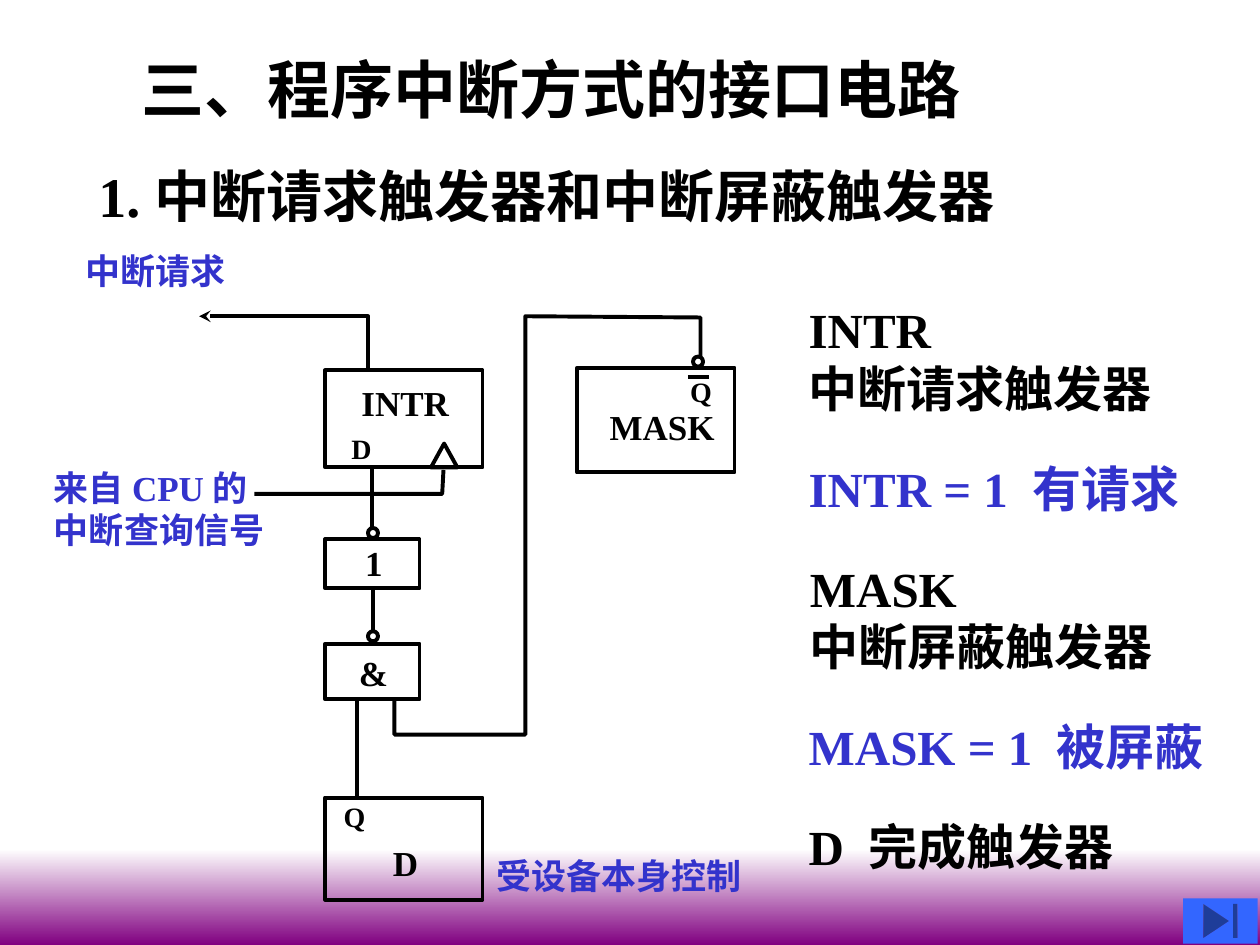
from lxml.etree import SubElement
from pptx import Presentation
from pptx.dml.color import RGBColor
from pptx.enum.shapes import MSO_CONNECTOR as Connector, MSO_SHAPE as Shape
from pptx.enum.text import MSO_ANCHOR as Anchor, MSO_AUTO_SIZE as AutoSize, PP_ALIGN as Align
from pptx.oxml.ns import qn
from pptx.util import Inches, Pt

BLACK = "000000"
BLUE = "3333CC"


def color(value):
    return RGBColor.from_string(value)


class CircuitSlide:
    font_name = "Times New Roman"
    line_width = Pt(2.25)

    def __init__(self, page):
        self.page = page
        self.shapes = page.shapes

    def set_text(self, box, lines, size, ink, wrap=True):
        frame = box.text_frame
        frame.word_wrap = wrap
        frame.auto_size = AutoSize.NONE
        frame.vertical_anchor = Anchor.TOP
        frame.text = "\n".join(lines)
        for para in frame.paragraphs:
            properties = para._p.get_or_add_pPr()
            properties.set("marL", "0")
            properties.set("indent", "0")
            SubElement(properties, qn("a:buNone"))
            para.alignment = Align.LEFT
            para.space_before = Pt(0)
            para.font.name = self.font_name
            para.font.size = Pt(size)
            para.font.bold = True
            para.font.color.rgb = color(ink)

    def heading(self, index, text, left, top, width, height, size):
        box = self.page.placeholders[index]
        box.left, box.top = Inches(left), Inches(top)
        box.width, box.height = Inches(width), Inches(height)
        self.set_text(box, [text], size, BLACK)

    def text(self, lines, left, top, width, height, size, ink=BLACK, wrap=True):
        box = self.shapes.add_textbox(Inches(left), Inches(top), Inches(width), Inches(height))
        self.set_text(box, lines, size, ink, wrap)

    def label(self, text, left, top, width, size=20):
        self.text([text], left, top, width, 0.44 if size == 20 else 0.37, size, wrap=False)

    def stroke(self, shape):
        shape.line.color.rgb = color(BLACK)
        shape.line.width = self.line_width

    def outline(self, kind, left, top, width, height):
        shape = self.shapes.add_shape(kind, Inches(left), Inches(top), Inches(width), Inches(height))
        shape.shadow.inherit = False
        shape.fill.background()
        self.stroke(shape)

    def bubble(self, left, top):
        self.outline(Shape.OVAL, left, top, 0.08, 0.08)

    def line(self, start, end):
        points = [Inches(value) for value in (*start, *end)]
        connector = self.shapes.add_connector(Connector.STRAIGHT, *points)
        self.stroke(connector)
        SubElement(connector._element.spPr, qn("a:effectLst"))

    def wire(self, points, arrow=False):
        points = [(Inches(x), Inches(y)) for x, y in points]
        builder = self.shapes.build_freeform(*points[0], scale=1.0)
        builder.add_line_segments(points[1:], close=False)
        shape = builder.convert_to_shape()
        shape.shadow.inherit = False
        shape.fill.background()
        self.stroke(shape)
        if arrow:
            outline = shape._element.spPr.find(qn("a:ln"))
            SubElement(outline, qn("a:tailEnd"), type="stealth")

    def gradient_band(self, left, top, width, height):
        band = self.shapes.add_shape(
            Shape.RECTANGLE, Inches(left), Inches(top), Inches(width), Inches(height))
        band.shadow.inherit = False
        band.line.fill.background()
        band.fill.gradient()
        band.fill.gradient_angle = 270
        for stop, position, value in zip(band.fill.gradient_stops, (0, 1), ("FFFFFF", "800080")):
            stop.position = position
            stop.color.rgb = color(value)
        self.shapes._spTree.insert(2, band._element)

    def end_button(self, left, top, width, height):
        button = self.shapes.add_shape(
            Shape.ACTION_BUTTON_END, Inches(left), Inches(top), Inches(width), Inches(height))
        button.shadow.inherit = False
        button.fill.solid()
        button.fill.fore_color.rgb = color("3366FF")
        button.line.fill.background()


def main():
    deck = Presentation()
    deck.slide_width, deck.slide_height = Inches(10), Inches(7.5)
    slide = CircuitSlide(deck.slides.add_slide(deck.slide_layouts[1]))

    slide.gradient_band(0, 6.74, 10, 0.76)
    slide.heading(0, "三、程序中断方式的接口电路", 1.02, 0.35, 7.12, 0.7, 36)
    slide.heading(1, "1. 中断请求触发器和中断屏蔽触发器", 0.68, 1.23, 8.1, 0.64, 32)

    for left, top, width, height in (
        (2.58, 6.33, 1.25, 0.81),
        (2.58, 5.11, 0.75, 0.44),
        (2.58, 4.28, 0.75, 0.39),
        (2.58, 2.94, 1.25, 0.77),
        (4.58, 2.92, 1.25, 0.83),
    ):
        slide.outline(Shape.RECTANGLE, left, top, width, height)
    slide.outline(Shape.ISOSCELES_TRIANGLE, 3.42, 3.52, 0.21, 0.19)
    for left, top in ((2.92, 5.01), (2.92, 4.19), (5.5, 2.83)):
        slide.bubble(left, top)

    for start, end in (
        ((2.83, 5.56), (2.83, 6.33)),
        ((2.95, 3.71), (2.95, 4.2)),
        ((2.96, 4.67), (2.96, 5.02)),
        ((5.46, 2.99), (5.63, 2.99)),
    ):
        slide.line(start, end)
    slide.wire([(2.02, 3.92), (3.51, 3.92), (3.52, 3.73)])
    slide.wire([(3.13, 5.56), (3.13, 5.83), (4.17, 5.83), (4.17, 2.51), (5.56, 2.52), (5.56, 2.84)])
    slide.wire([(2.92, 2.93), (2.92, 2.51), (1.58, 2.51)], arrow=True)

    for text, left, top, width in (
        ("D", 3.02, 6.63, 0.4),
        ("&", 2.75, 5.12, 0.43),
        ("1", 2.8, 4.25, 0.34),
        ("INTR", 2.77, 2.98, 0.89),
        ("MASK", 4.74, 3.17, 1.03),
    ):
        slide.label(text, left, top, width)
    for text, left, top in (("Q", 2.63, 6.3), ("D", 2.69, 3.38), ("Q", 5.38, 2.92)):
        slide.label(text, left, top, 0.37, 16)

    slide.text(["中断请求"], 0.58, 1.93, 1.33, 0.44, 20, BLUE)
    slide.text(["来自 CPU 的", "中断查询信号"], 0.33, 3.65, 2.07, 0.77, 20, BLUE)
    slide.text(["受设备本身控制"], 3.84, 6.73, 2.5, 0.44, 20, BLUE)

    slide.text(["INTR", "中断请求触发器"], 6.32, 2.33, 3.17, 1.04, 28)
    slide.text(["INTR = 1  有请求"], 6.32, 3.59, 3.68, 0.57, 28, BLUE)
    slide.text(["MASK", "中断屏蔽触发器"], 6.33, 4.38, 2.92, 1.04, 28)
    slide.text(["MASK = 1  被屏蔽"], 6.32, 5.64, 3.68, 0.57, 28, BLUE)
    slide.text(["D  完成触发器"], 6.32, 6.43, 2.85, 0.57, 28)
    slide.end_button(9.39, 7.13, 0.59, 0.36)

    deck.save("out.pptx")


if __name__ == "__main__":
    main()
